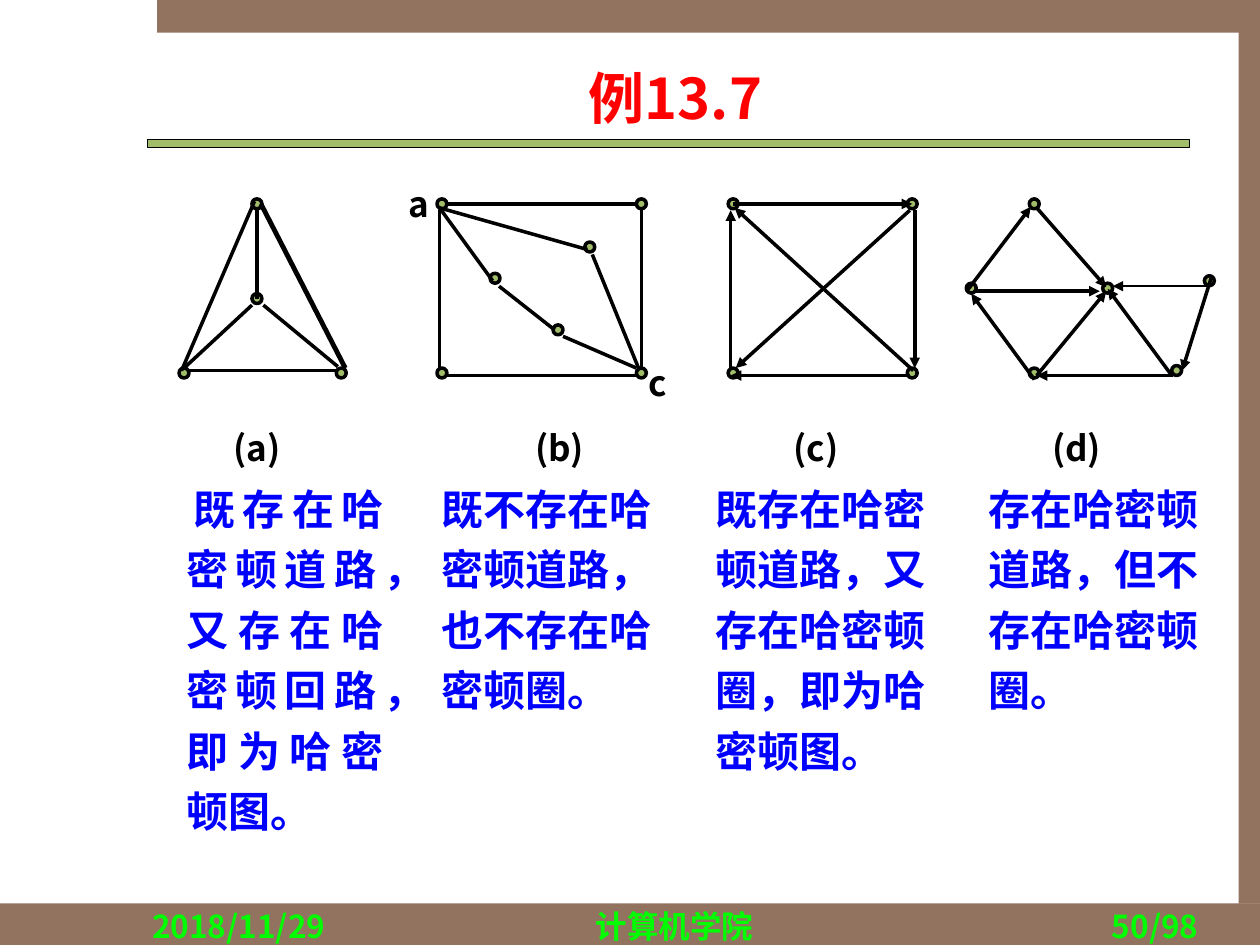
from pptx import Presentation
from pptx.dml.color import RGBColor
from pptx.enum.shapes import MSO_CONNECTOR as Link, MSO_SHAPE as Preset
from pptx.enum.text import MSO_ANCHOR as Anchor, PP_ALIGN as Align
from pptx.oxml.ns import qn
from pptx.util import Cm, Pt
from lxml.etree import SubElement

COLORS = {"frame": "91735F", "green": "A1BD69", "ink": "000000",
          "footer": "00FF00", "title": "FF0000", "body": "0000FF"}
FONT = "Noto Sans CJK SC"
NODE = 0.08


def cm(inches):
    return Cm(round(inches * 2.54, 2))


def rgb(name):
    return RGBColor.from_string(COLORS[name])


class Painter:
    """Holds the style and the current page; places are given in inches."""

    def __init__(self, page):
        self.page = page
        self.target = page.shapes

    def start_group(self):
        self.target = self.page.shapes.add_group_shape().shapes

    def end_group(self):
        self.target = self.page.shapes

    def shape(self, preset, place, fill, line=None):
        shape = self.target.add_shape(preset, *map(cm, place))
        shape.shadow.inherit = False
        shape.fill.solid()
        shape.fill.fore_color.rgb = rgb(fill)
        if line:
            shape.line.color.rgb = rgb("ink")
            shape.line.width = Pt(line)
        else:
            shape.line.fill.background()

    def edge(self, x1, y1, x2, y2, width=2, arrow=False):
        edge = self.target.add_connector(Link.STRAIGHT, *map(cm, (x1, y1, x2, y2)))
        edge.line.color.rgb = rgb("ink")
        edge.line.width = Pt(width)
        if arrow:
            SubElement(edge.line._get_or_add_ln(), qn("a:tailEnd"), type="triangle")
        SubElement(edge._element.spPr, qn("a:effectLst"))

    def text(self, place, text, size, color, align=Align.LEFT, spacing=None,
             wrap=True, anchor=Anchor.TOP):
        box = self.target.add_textbox(*map(cm, place))
        frame = box.text_frame
        frame.word_wrap = wrap
        frame.vertical_anchor = anchor
        para = frame.paragraphs[0]
        para.text = text
        para.alignment = align
        if spacing:
            para.line_spacing = spacing
        self.style(para.runs[0], size, color, FONT)
        return para

    def style(self, span, size, color, font):
        span.font.size = Pt(size)
        span.font.bold = True
        span.font.name = font
        span.font.color.rgb = rgb(color)
        SubElement(span.font._element, qn("a:ea"), typeface=font)

    def label(self, x, y, width, text):
        self.text((x, y, width, 0.5), text, 20, "ink", spacing=1.2, wrap=False)

    def graph(self, nodes, edges, labels, arrow=False):
        self.start_group()
        for x, y in nodes:
            self.shape(Preset.OVAL, (x, y, NODE, NODE), "green", 2)
        for edge in edges:
            self.edge(*edge, arrow=arrow)
        for label in labels:
            self.label(*label)
        self.end_group()


deck = Presentation()
deck.slide_width, deck.slide_height = cm(10), cm(7.5)
page = deck.slides.add_slide(deck.slide_layouts[6])
paint = Painter(page)

# Frame and rule under the title
for place in ((0, 7.17, 10, 0.33), (1.25, 0, 8.75, 0.26), (9.83, 0.25, 0.17, 6.92)):
    paint.shape(Preset.RECTANGLE, place, "frame")
paint.shape(Preset.RECTANGLE, (1.17, 1.11, 8.27, 0.06), "green", 0.75)

# Footer
for x, width, text, align in ((1.11, 2.08, "2018/11/29", Align.LEFT),
                              (3.19, 4.33, "计算机学院", Align.CENTER),
                              (7.53, 2.08, "50/98", Align.RIGHT)):
    paint.text((x, 7.15, width, 0.18), text, 18, "footer", align)

# Title
title = paint.text((1.42, 0.33, 8.02, 0.79), "例13.7", 32, "title",
                   Align.CENTER, anchor=Anchor.MIDDLE)
space = title.add_run()
space.text = " "
paint.style(space, 40, "title", "Times New Roman")

# Graphs: node corners, edges from start to end, labels
TOP, LOW = 1.58, 2.92
CAPTION = 3.27, 0.62
paint.graph(
    [(2, TOP), (2.67, LOW), (1.42, LOW), (2, 2.33)],
    [(2.02, 1.6, 1.44, 2.94), (2.07, 1.62, 2.74, 2.92, 2.75),
     (1.5, 2.94, 2.67, 2.94), (2.04, 1.67, 2.04, 2.37),
     (2, 2.42, 1.46, 2.92), (2.09, 2.42, 2.68, 2.91)],
    [(1.75, *CAPTION, "(a)")])
paint.graph(
    [(x, y) for x in (5.78, 7.2) for y in (TOP, LOW)],
    [(5.8, 2.92, 5.8, 1.67), (7.22, 2.98, 5.8, 2.98),
     (5.82, 1.62, 7.24, 1.62), (7.26, 1.67, 7.26, 2.92),
     (7.22, 1.67, 5.84, 2.92), (7.25, 2.94, 5.83, 1.65)],
    [(6.2, *CAPTION, "(c)")], arrow=True)
paint.graph(
    [(3.47, TOP), (4.64, 1.92), (5.05, LOW), (5.05, TOP),
     (3.47, LOW), (4.39, 2.58), (3.89, 2.17)],
    [(3.49, 1.67, 3.49, 2.92), (3.55, 1.62, 5.05, 1.62),
     (3.55, 2.98, 5.05, 2.98), (5.09, 1.67, 5.09, 2.92),
     (3.49, 1.65, 3.91, 2.23), (3.49, 1.65, 4.66, 1.98),
     (4.7, 2.02, 5.07, 2.93), (3.96, 2.27, 4.4, 2.62),
     (5.05, 2.92, 4.47, 2.67)],
    [(4.15, *CAPTION, "(b)"), (3.14, 1.33, 0.34, "a"), (5.05, 2.75, 0.34, "c")])
paint.graph(
    [(8.17, TOP), (8.75, 2.25), (7.67, 2.25), (8.17, LOW), (9.3, 2.9), (9.56, 2.19)],
    [(9.62, 2.19, 9.38, 2.94), (7.68, 2.3, 8.18, 1.64),
     (8.23, 1.65, 8.78, 2.28), (8.21, 3.01, 7.71, 2.33),
     (8.23, 2.98, 8.78, 2.31), (9.31, 2.98, 8.23, 2.98),
     (9.29, 2.97, 8.79, 2.29), (7.74, 2.31, 8.73, 2.31),
     (9.58, 2.27, 8.83, 2.27, 1.5)],
    [(8.25, *CAPTION, "(d)")], arrow=True)

# Findings under each graph
findings = [
    (1, 2.14, 3.45, "\t既存在哈密顿道路，又存在哈密顿回路，即为哈密顿图。", Align.JUSTIFY),
    (3.41, 1.89, 2.98, "既不存在哈密顿道路，也不存在哈密顿圈。", Align.LEFT),
    (5.58, 1.89, 3.45, "既存在哈密顿道路，又存在哈密顿圈，即为哈密顿图。", Align.LEFT),
    (7.75, 1.89, 2.5, "存在哈密顿道路，但不存在哈密顿圈。", Align.LEFT),
]
for x, width, height, text, align in findings:
    para = paint.text((x, 3.71, width, height), text, 24, "body", align, 1.2)
    if align == Align.JUSTIFY:
        indent = para._p.get_or_add_pPr()
        indent.set("marL", str(cm(0.38)))
        indent.set("indent", str(-cm(0.38)))

deck.save("out.pptx")
